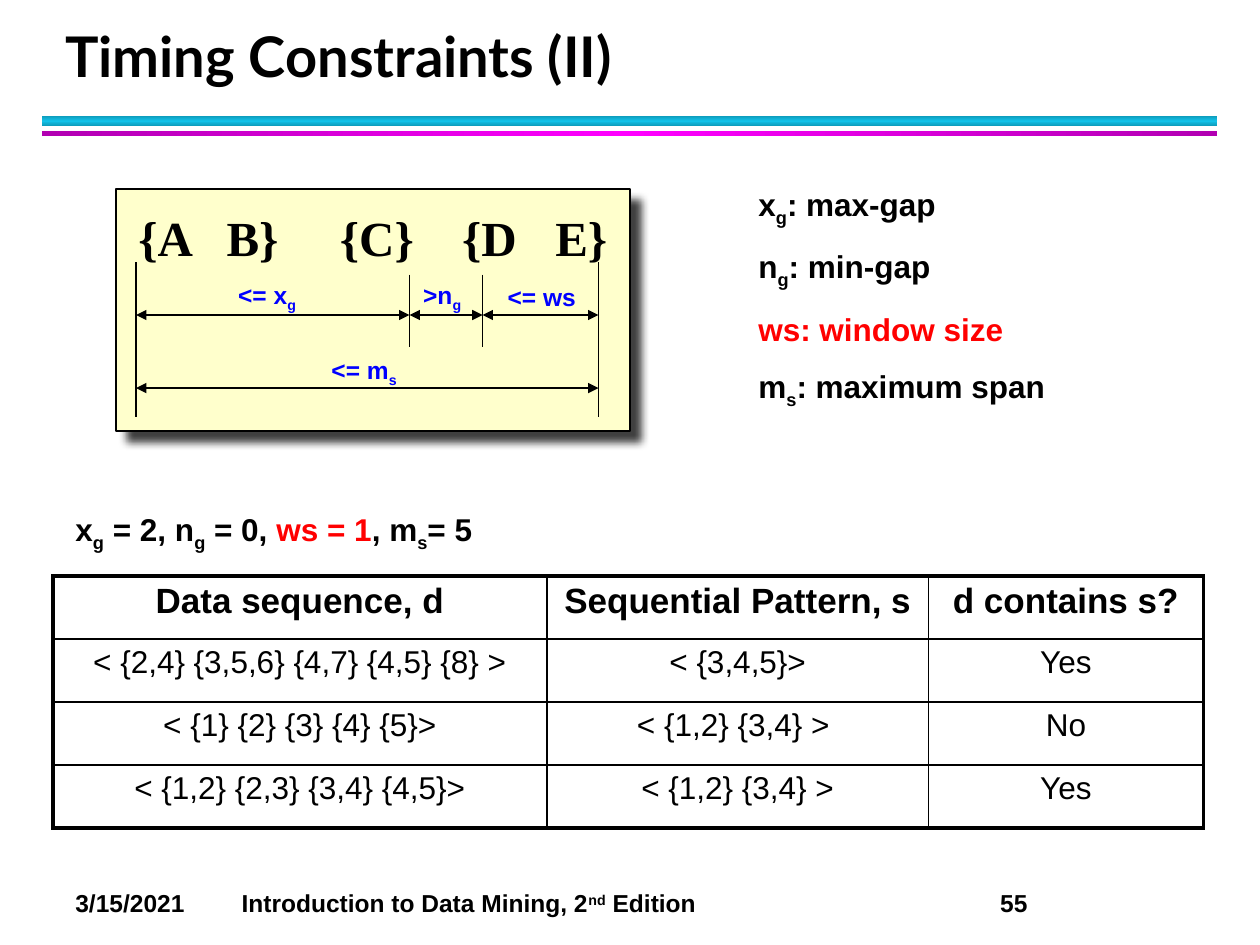
from lxml import etree
from pptx import Presentation, util as u
from pptx.dml.color import RGBColor
from pptx.enum import shapes, text
from pptx.oxml import ns

# Content: "|" splits runs; "_" lowers, "^" raises, "*" marks in red
TITLE = "Timing Constraints (II)"
TERMS = ["x|_g|: max-gap", "n|_g|: min-gap", "*ws: window size", "m|_s|: maximum span"]
CASE = ["x|_g| = 2, n|_g| = 0, |*ws = 1|, m|_s|= 5"]
EVENTS = ["{A\tB}\t{C}\t{D\tE}"]
FOOT = ["3/15/2021\tIntroduction to Data Mining, 2|^nd| Edition\t55"]
LABELS = [("<= m|_s", 2.53, 2.77, 0.72), ("<= x|_g", 1.79, 2.17, 0.66),
          (">n|_g", 3.23, 2.17, 0.56), ("<= ws", 3.93, 2.19, 0.74)]
ROWS = [
    ("Data sequence, d", "Sequential Pattern, s", "d contains s?"),
    ("< {2,4} {3,5,6} {4,7} {4,5} {8} >", "< {3,4,5}>", "Yes"),
    ("< {1} {2} {3} {4} {5}>", "< {1,2} {3,4} > ", "No"),
    ("< {1,2} {2,3} {3,4} {4,5}>", "< {1,2} {3,4} >", "Yes"),
]
COLS = (3.92, 3.03, 2.18)
ROW_H = 0.5
POSTS = (1.08, 3.25, 3.83, 4.75)
INK = {"black": "000000", "red": "FF0000", "blue": "0000FF", "cream": "FFFFCC",
       "teal": "0E9BBA", "aqua": "12C2E9", "plum": "B200B2", "pink": "FF00FF"}
MARKS = {"_": "-25000", "^": "30000"}

deck = Presentation()
deck.slide_width, deck.slide_height = u.Inches(10), u.Inches(7.5)
slide = deck.slides.add_slide(deck.slide_layouts[6])


def rgb(name):
    return RGBColor.from_string(INK[name])


def inch(*nums):
    return [u.Inches(n) for n in nums]


def add_xml(home, body):
    """Append one DrawingML element."""
    tag, rest = body[1:].split(" ", 1)
    home.append(etree.fromstring(f'<{tag} {ns.nsdecls("a")} {rest}'))


def write(frame, lines, size=18, font="Arial", color="black", bold=True, align=None,
          before=0, after=0, line=None, tabs=()):
    for i, row in enumerate(lines):
        para = frame.paragraphs[0] if i == 0 else frame.add_paragraph()
        para.alignment = align
        para.space_before, para.space_after = u.Pt(before), u.Pt(after)
        if line:
            para.line_spacing = u.Pt(line)
        if tabs:
            stops = "".join(f'<a:tab pos="{u.Inches(t)}" algn="l"/>' for t in tabs)
            add_xml(para._p.get_or_add_pPr(), f"<a:tabLst >{stops}</a:tabLst>")
        for part in row.split("|"):
            mark = part[0] if part[0] in "_^*" else ""
            run = para.add_run()
            run.text = part[len(mark):]
            run.font.size, run.font.name, run.font.bold = u.Pt(size), font, bold
            run.font.color.rgb = rgb("red" if mark == "*" else color)
            if mark in MARKS:
                run._r.get_or_add_rPr().set("baseline", MARKS[mark])


def box(spot, lines, fill=None, anchor=text.MSO_ANCHOR.TOP, **form):
    item = slide.shapes.add_textbox(*inch(*spot))
    item.text_frame.word_wrap = True
    item.text_frame.vertical_anchor = anchor
    if fill:
        item.fill.solid()
        item.fill.fore_color.rgb = rgb(fill)
    write(item.text_frame, lines, **form)


def rect(spot):
    return slide.shapes.add_shape(shapes.MSO_SHAPE.RECTANGLE, *inch(*spot))


def bar(spot, edge, mid, angle):
    item = rect(spot)
    item.shadow.inherit = False
    item.line.fill.background()
    item.fill.gradient()
    grad = item._element.spPr.find(ns.qn("a:gradFill"))
    for kid in list(grad):
        grad.remove(kid)
    stops = "".join(f'<a:gs pos="{p}"><a:srgbClr val="{INK[c]}"/></a:gs>'
                    for p, c in ((0, edge), (50000, mid), (100000, edge)))
    add_xml(grad, f"<a:gsLst >{stops}</a:gsLst>")
    add_xml(grad, f'<a:lin ang="{angle * 60000}" scaled="0"/>')


def rule(x1, y1, x2, y2, heads=False):
    item = slide.shapes.add_connector(shapes.MSO_CONNECTOR.STRAIGHT, *inch(x1, y1, x2, y2))
    item.line.width = u.Pt(0.75)
    item.line.color.rgb = rgb("black")
    if heads:
        for end in ("headEnd", "tailEnd"):
            add_xml(item._element.spPr.find(ns.qn("a:ln")), f'<a:{end} type="triangle"/>')
    add_xml(item._element.spPr, "<a:effectLst />")


# Title, bars and footer
bar((0.33, 0.92, 9.33, 0.08), "teal", "aqua", 90)
bar((0.33, 1.04, 9.33, 0.04), "plum", "pink", 0)
box((0.5, 7, 9.33, 0.34), FOOT, size=14, tabs=(1.32, 7.34))
box((0.42, 0.17, 9.06, 0.58), [TITLE], size=32, font="Lato", line=36,
    anchor=text.MSO_ANCHOR.BOTTOM)

# Timeline panel
panel = rect((0.92, 1.5, 4.08, 1.92))
panel.fill.solid()
panel.fill.fore_color.rgb = rgb("cream")
panel.line.color.rgb = rgb("black")
panel.line.width = u.Pt(0.75)
add_xml(panel._element.spPr,
        f'<a:effectLst ><a:outerShdw blurRad="{u.Pt(5)}" dist="{u.Pt(8.5)}" dir="2700000" '
        f'algn="tl" rotWithShape="0"><a:srgbClr val="{INK["black"]}"><a:alpha val="75000"/>'
        '</a:srgbClr></a:outerShdw></a:effectLst>')
box((1, 1.6, 3.94, 0.57), EVENTS, fill="cream", size=28, font="Times New Roman",
    tabs=(0.7, 1.6, 2.57, 3.31))
for label, x, y, w in LABELS:
    box((x, y, w, 0.33), [label], fill="cream", size=14, color="blue",
        align=text.PP_ALIGN.CENTER)

# Spans between posts, then the posts
rule(POSTS[0], 3.08, POSTS[-1], 3.08, heads=True)
for a, b in zip(POSTS, POSTS[1:]):
    rule(a, 2.5, b, 2.5, heads=True)
for x in POSTS:
    top, end = (2.08, 3.31) if x in (POSTS[0], POSTS[-1]) else (2.18, 2.75)
    rule(x, top, x, end)

# Terms and case
box((5.92, 1.42, 3.42, 1.84), TERMS, before=2, after=9)
box((0.5, 4, 8.58, 0.4), CASE, before=2, after=9)

# Table with a heavy outer frame
grid = slide.shapes.add_table(len(ROWS), len(COLS),
                              *inch(0.42, 4.57, sum(COLS), ROW_H * len(ROWS))).table
grid.first_row = grid.horz_banding = False
for col, w in zip(grid.columns, COLS):
    col.width = u.Inches(w)
for r, row in enumerate(ROWS):
    grid.rows[r].height = u.Inches(ROW_H)
    for c, words in enumerate(row):
        cell = grid.cell(r, c)
        write(cell.text_frame, [words], size=18 if r else 20, bold=r == 0,
              align=text.PP_ALIGN.CENTER, before=2, after=4)
        outer = {"L": c == 0, "R": c == len(COLS) - 1, "T": r == 0, "B": r == len(ROWS) - 1}
        for side, edge in outer.items():
            add_xml(cell._tc.get_or_add_tcPr(),
                    f'<a:ln{side} w="{u.Pt(2.25 if edge else 1)}"><a:solidFill>'
                    f'<a:srgbClr val="{INK["black"]}"/></a:solidFill></a:ln{side}>')
        cell.fill.background()

deck.save("out.pptx")
